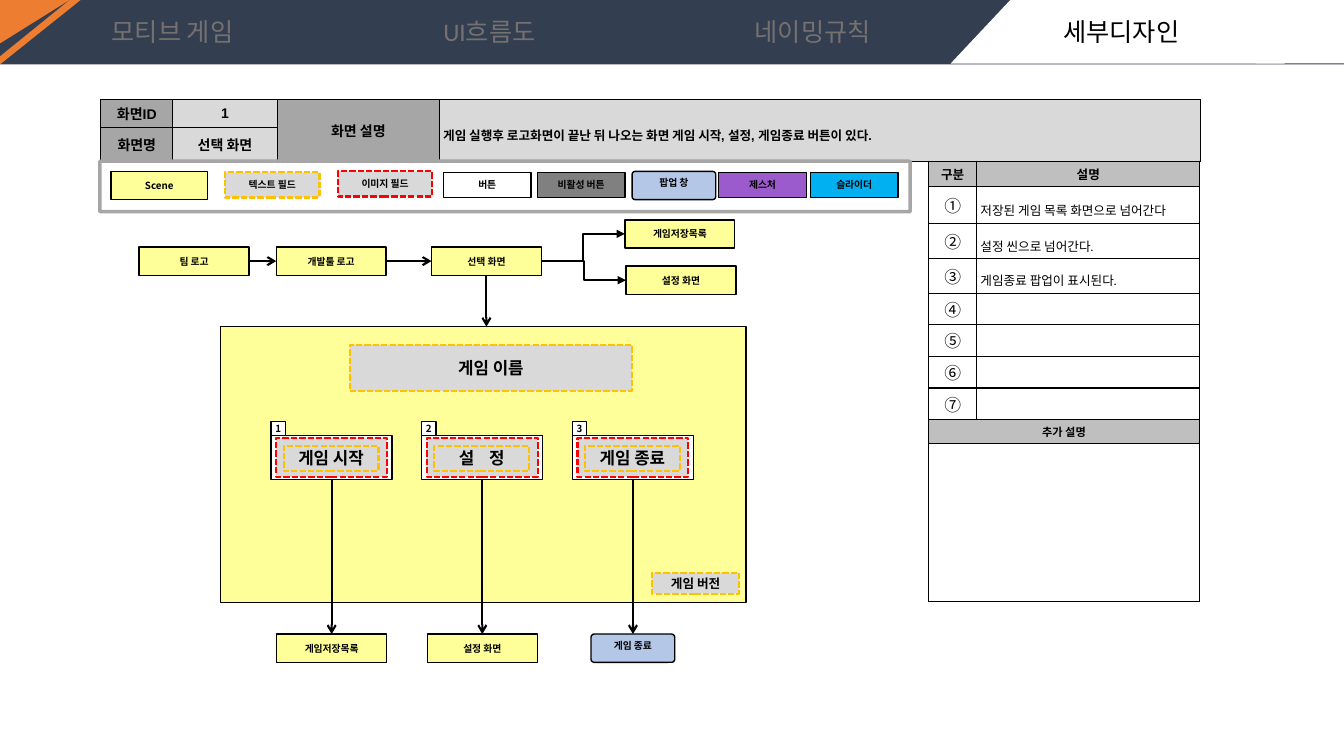
from lxml import etree
from pptx import Presentation
from pptx.dml.color import RGBColor
from pptx.enum.dml import MSO_LINE
from pptx.enum.shapes import MSO_CONNECTOR, MSO_SHAPE
from pptx.enum.text import MSO_ANCHOR, MSO_AUTO_SIZE, PP_ALIGN
from pptx.oxml.ns import qn
from pptx.util import Pt

RECT, ROUND, SLANT = MSO_SHAPE.RECTANGLE, MSO_SHAPE.ROUNDED_RECTANGLE, MSO_SHAPE.PARALLELOGRAM
STRAIGHT, ELBOW = MSO_CONNECTOR.STRAIGHT, MSO_CONNECTOR.ELBOW
TOP, MIDDLE = MSO_ANCHOR.TOP, MSO_ANCHOR.MIDDLE
LEFT, CENTER = PP_ALIGN.LEFT, PP_ALIGN.CENTER
DASH = MSO_LINE.SQUARE_DOT
NO_FIT = MSO_AUTO_SIZE.NONE

NAVY = RGBColor(0x33, 0x3F, 0x50)
ORANGE = RGBColor(0xED, 0x7D, 0x31)
NAV_GRAY = RGBColor(0x76, 0x71, 0x71)
BLACK = RGBColor(0, 0, 0)
WHITE = RGBColor(255, 255, 255)
YELLOW = RGBColor(0xFF, 0xFF, 0x99)
GOLD = RGBColor(0xFF, 0xC0, 0)
RED = RGBColor(255, 0, 0)
BLUE = RGBColor(0xB4, 0xC7, 0xE7)
CYAN = RGBColor(0, 0xB0, 0xF0)
PURPLE = RGBColor(0x9C, 0x5B, 0xCD)
DARK = RGBColor(0x80, 0x80, 0x80)
GRAY = RGBColor(0xA6, 0xA6, 0xA6)
SILVER = RGBColor(0xBF, 0xBF, 0xBF)
LIGHT = RGBColor(0xD9, 0xD9, 0xD9)

NOTO, CALIBRI, ARIAL = "Noto Sans CJK KR", "Calibri", "Arial"
SCENE_SIZE, POPUP_SIZE = (78.5, 20.2), (59.8, 20.2)
FIELD_SIZE, BUTTON_SIZE = (67.7, 18), (62.6, 18)
STYLES = {
    "scene": (YELLOW, BLACK, 1, False),
    "text": (LIGHT, GOLD, 1.5, True),
    "image": (LIGHT, RED, 1.5, True),
    "button": (WHITE, BLACK, 1, False),
    "disabled": (DARK, BLACK, 1, False),
    "popup": (BLUE, BLACK, 1, False),
    "gesture": (PURPLE, BLACK, 1, False),
    "slider": (CYAN, BLACK, 1, False),
    "legend": (None, GRAY, 2.5, False),
}


def write(para, text, size, font=NOTO, color=BLACK, bold=False, align=CENTER):
    """Fill a paragraph with text in one font."""
    para.text = text
    para.alignment = align
    para.font.size, para.font.bold, para.font.name = Pt(size), bold, font
    para.font.color.rgb = color
    default = para._p.pPr.find(qn("a:defRPr"))
    etree.SubElement(default, qn("a:ea"), typeface=NOTO)
    return default


def add_plain(page, kind, box, fill):
    """Add a shape without outline or shadow."""
    shape = page.shapes.add_shape(kind, *map(Pt, box))
    shape.shadow.inherit = False
    shape.fill.solid()
    shape.fill.fore_color.rgb = fill
    shape.line.fill.background()
    return shape


def add_part(page, style, box, text="", size=7):
    """Add one wireframe part in a named style."""
    fill, line, width, dashed = STYLES[style]
    kind = ROUND if style in ("popup", "legend") else RECT
    part = add_plain(page, kind, box, fill or WHITE)
    if fill is None:
        part.fill.background()
    if kind == ROUND:
        part.adjustments[0] = 0.11 if style == "popup" else 0.02
    part.line.color.rgb = line
    part.line.width = Pt(width)
    if dashed:
        part.line.dash_style = DASH
    if text:
        frame = part.text_frame
        frame.word_wrap = True
        frame.margin_left = frame.margin_right = frame.margin_bottom = 0
        frame.margin_top = Pt(3.6) if style == "popup" else 0
        frame.vertical_anchor = TOP if style == "popup" else MIDDLE
        write(frame.paragraphs[0], text, size, bold=True)
    return part


def add_arrow(page, source, exit_side, target, entry_side, kind=STRAIGHT, head="arrow"):
    """Join two parts with an arrow."""
    arrow = page.shapes.add_connector(kind, 0, 0, 0, 0)
    arrow.begin_connect(source, exit_side)
    if entry_side is None:
        arrow.end_x, arrow.end_y = arrow.begin_x, target.top
    else:
        arrow.end_connect(target, entry_side)
    arrow.line.color.rgb = BLACK
    arrow.line.width = Pt(1.5)
    properties = arrow._element.spPr
    etree.SubElement(properties.find(qn("a:ln")), qn("a:tailEnd"), type=head)
    etree.SubElement(properties, qn("a:effectLst"))


def add_header(page, box):
    """Draw the navigation bar with the current section as title."""
    left, top, width, height = box
    add_plain(page, RECT, box, NAVY)
    tab = add_plain(page, SLANT, (left + 679, top, width - 679, height - 0.6), WHITE)
    tab.adjustments[0] = 0.94
    end = add_plain(page, RECT, (left + 897, top, width - 897, height - 0.6), WHITE)
    for points in ([(49.7, 0), (57.6, 0), (0, 46), (0, 40.3)], [(0, 0), (49.7, 0), (0, 31)]):
        corners = [(Pt(left + x), Pt(top + y)) for x, y in points]
        builder = page.shapes.build_freeform(*corners[0])
        builder.add_line_segments(corners[1:])
        wedge = builder.convert_to_shape()
        wedge.shadow.inherit = False
        wedge.fill.solid()
        wedge.fill.fore_color.rgb = ORANGE
        wedge.line.fill.background()
    title = page.shapes.title
    end.element.addnext(title.element)
    for x, text in ((72.7, "모티브 게임"), (309.6, "UI흐름도"), (532, "네이밍규칙"), (752.4, "세부디자인")):
        place = [Pt(v) for v in (left + x, top + 8, 144, 29)]
        current = text == "세부디자인"
        label = title if current else page.shapes.add_textbox(*place)
        label.left, label.top, label.width, label.height = place
        frame = label.text_frame
        frame.word_wrap, frame.auto_size, frame.vertical_anchor = True, NO_FIT, MIDDLE
        write(frame.paragraphs[0], text, 18, CALIBRI, BLACK if current else NAV_GRAY, align=LEFT)


def add_grid(page, left, top, columns, rows):
    """Add a table with plain style and given column and row sizes."""
    box = (left, top, sum(columns), sum(rows))
    table = page.shapes.add_table(len(rows), len(columns), *map(Pt, box)).table
    table.first_row = table.horz_banding = False
    for column, width in zip(table.columns, columns):
        column.width = Pt(width)
    for row, height in zip(table.rows, rows):
        row.height = Pt(height)
    return table


def fill_cell(cell, text, size=9, font=CALIBRI, fill=None, bold=False, align=CENTER):
    """Fill one table cell and draw its borders."""
    margin = Pt(2.6) if text else 0
    cell.margin_left = cell.margin_right = cell.margin_top = cell.margin_bottom = margin
    cell.vertical_anchor = MIDDLE
    para = cell.text_frame.paragraphs[0]
    if align == LEFT:
        para.line_spacing = 1.5
    write(para, text, size, font, bold=bold, align=align)
    if fill is None:
        cell.fill.background()
    else:
        cell.fill.solid()
        cell.fill.fore_color.rgb = fill
    properties = cell._tc.get_or_add_tcPr()
    for place, side in enumerate(("lnL", "lnR", "lnT", "lnB")):
        border = etree.Element(qn("a:" + side), w=str(Pt(1)))
        paint = etree.SubElement(border, qn("a:solidFill"))
        etree.SubElement(paint, qn("a:srgbClr"), val=str(BLACK))
        properties.insert(place, border)


def add_summary(page, left, top):
    """Add the table that identifies the screen."""
    table = add_grid(page, left, top, (51.4, 74.6, 116, 543.5), (18, 22.2))
    description = "게임 실행후 로고화면이 끝난 뒤 나오는 화면 게임 시작, 설정, 게임종료 버튼이 있다."
    rows = (("화면ID", "1", "화면 설명", description), ("화면명", "선택 화면", "", ""))
    for r, texts in enumerate(rows):
        for c, text in enumerate(texts):
            fill_cell(table.cell(r, c), text, 9 if c == 3 else 10, ARIAL,
                      LIGHT if c % 2 else GRAY, True, LEFT if c == 3 else CENTER)
    for c in (2, 3):
        table.cell(0, c).merge(table.cell(1, c))


def add_notes_table(page, left, top):
    """Add the table that explains the numbered buttons."""
    table = add_grid(page, left, top, (34.6, 159.1), (18, 26.4, *[22.5] * 6, 16.6, 113))
    for c, text in enumerate(("구분", "설명")):
        fill_cell(table.cell(0, c), text, fill=SILVER, bold=True)
    notes = ("저장된 게임 목록 화면으로 넘어간다", "설정 씬으로 넘어간다.", "게임종료 팝업이 표시된다.", "", "", "", "")
    for r, (mark, note) in enumerate(zip("①②③④⑤⑥⑦", notes), 1):
        fill_cell(table.cell(r, 0), mark, 12, NOTO)
        fill_cell(table.cell(r, 1), note, align=LEFT if note else CENTER)
    for r, text, fill in ((8, "추가 설명", SILVER), (9, "", None)):
        for c in (0, 1):
            fill_cell(table.cell(r, c), "" if c else text, 8, fill=fill, bold=True)
        table.cell(r, 0).merge(table.cell(r, 1))


def add_legend(page, box):
    """Draw the key of part styles in its frame."""
    left, top = box[:2]
    add_part(page, "legend", box)
    for style, text, x, y, size in (
            ("scene", "Scene", 7.9, 7.2, (69.1, 20.2)), ("text", "텍스트 필드", 89.3, 7.9, FIELD_SIZE),
            ("image", "이미지 필드", 169.9, 7.2, FIELD_SIZE), ("button", "버튼", 245.5, 7.9, BUTTON_SIZE),
            ("disabled", "비활성 버튼", 312.5, 7.9, BUTTON_SIZE), ("popup", "팝업 창", 380.2, 7.2, POPUP_SIZE),
            ("gesture", "제스처", 442.1, 7.9, BUTTON_SIZE), ("slider", "슬라이더", 507.6, 7.9, BUTTON_SIZE)):
        add_part(page, style, (left + x, top + y, *size), text)


def add_flow(page, left, top):
    """Draw the scene flow and return the selection scene."""
    team, engine, choice, saves, settings = [
        add_part(page, "scene", (left + x, top + y, *SCENE_SIZE), text) for text, x, y in (
            ("팀 로고", 0, 19.4), ("개발툴 로고", 97.9, 19.4), ("선택 화면", 208.8, 19.4),
            ("게임저장목록", 347, 0), ("설정 화면", 347.8, 33.1))]
    add_arrow(page, team, 3, engine, 1)
    add_arrow(page, engine, 3, choice, 1)
    for target in (saves, settings):
        add_arrow(page, choice, 3, target, 1, ELBOW, "triangle")
    return choice


def add_screen(page, box, choice):
    """Draw the selection screen, its buttons and where they lead."""
    left, top = box[:2]
    screen = add_part(page, "scene", box)
    add_arrow(page, choice, 2, screen, None)
    add_part(page, "text", (left + 92.2, top + 13, 201.6, 33.1), "게임 이름", 12)
    add_part(page, "text", (left + 308.2, top + 175.7, 61.9, 15.1), "게임 버전", 9)
    buttons = (("게임 시작", "scene", "게임저장목록", SCENE_SIZE),
               ("설 정", "scene", "설정 화면", SCENE_SIZE),
               ("게임 종료", "popup", "게임 종료", POPUP_SIZE))
    for i, (text, style, goal, size) in enumerate(buttons):
        x, y = left + 36 + 107.6 * i, top + 77.8
        button = add_part(page, "button", (x, y, 86.4, 31.3))
        add_part(page, "button", (x, y - 10.1, 10.1, 10.1), str(i + 1))
        add_part(page, "image", (x + 3.6, y + 1.5, 79.2, 28.1))
        field = add_part(page, "text", (x + 9, y + 7.2, *FIELD_SIZE), text, 12)
        if text == "설 정":
            field.text_frame.paragraphs[0]._p.pPr.find(qn("a:defRPr")).set("spc", "400")
        target = add_part(page, style, (x + 43.2 - size[0] / 2, top + 219.6, *size), goal)
        add_arrow(page, button, 2, target, 0)


def main():
    """Build the deck and save it."""
    deck = Presentation()
    deck.slide_width, deck.slide_height = Pt(960), Pt(540)
    page = deck.slides.add_slide(deck.slide_layouts[5])
    add_header(page, (0, 0, 960, 46))
    add_summary(page, 72, 71.2)
    add_notes_table(page, 663.2, 115.2)
    add_legend(page, (71.3, 115.2, 578.9, 36))
    choice = add_flow(page, 99.4, 157)
    add_screen(page, (157.7, 233.3, 375.1, 197.3), choice)
    deck.save("out.pptx")


if __name__ == "__main__":
    main()
